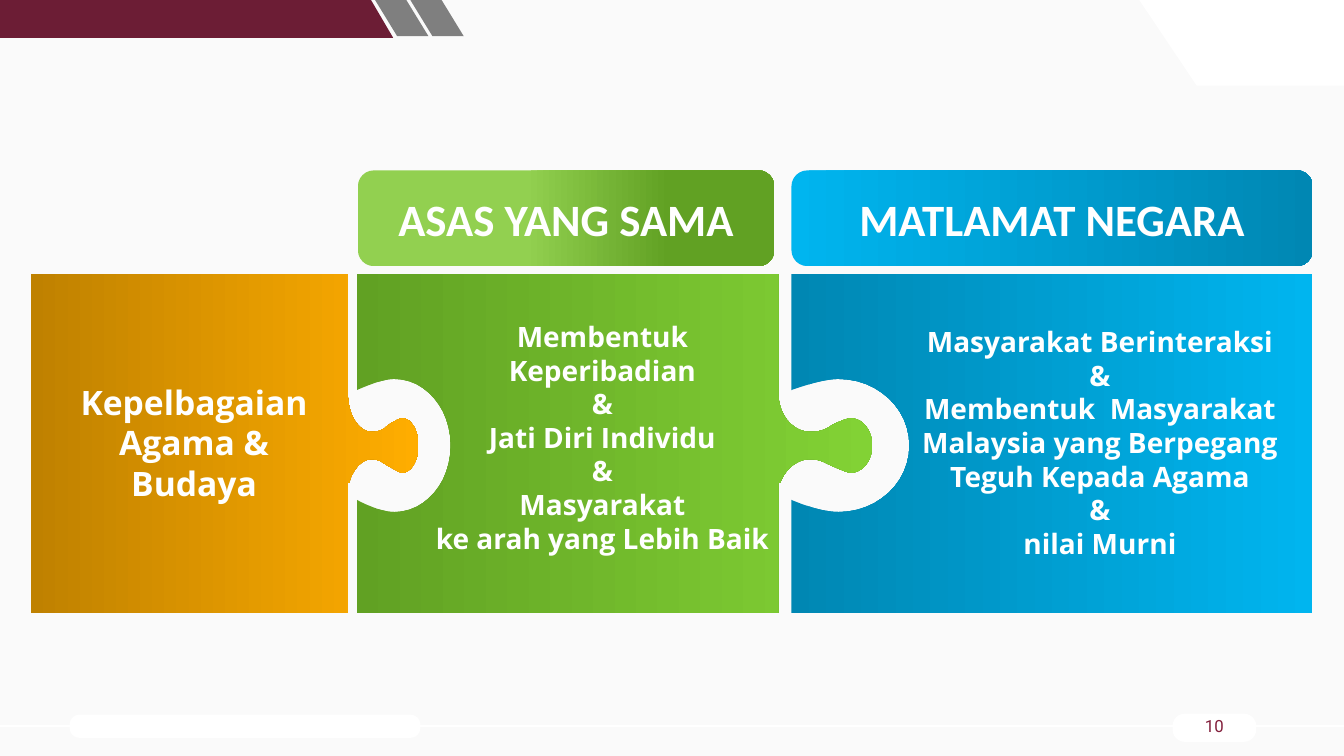
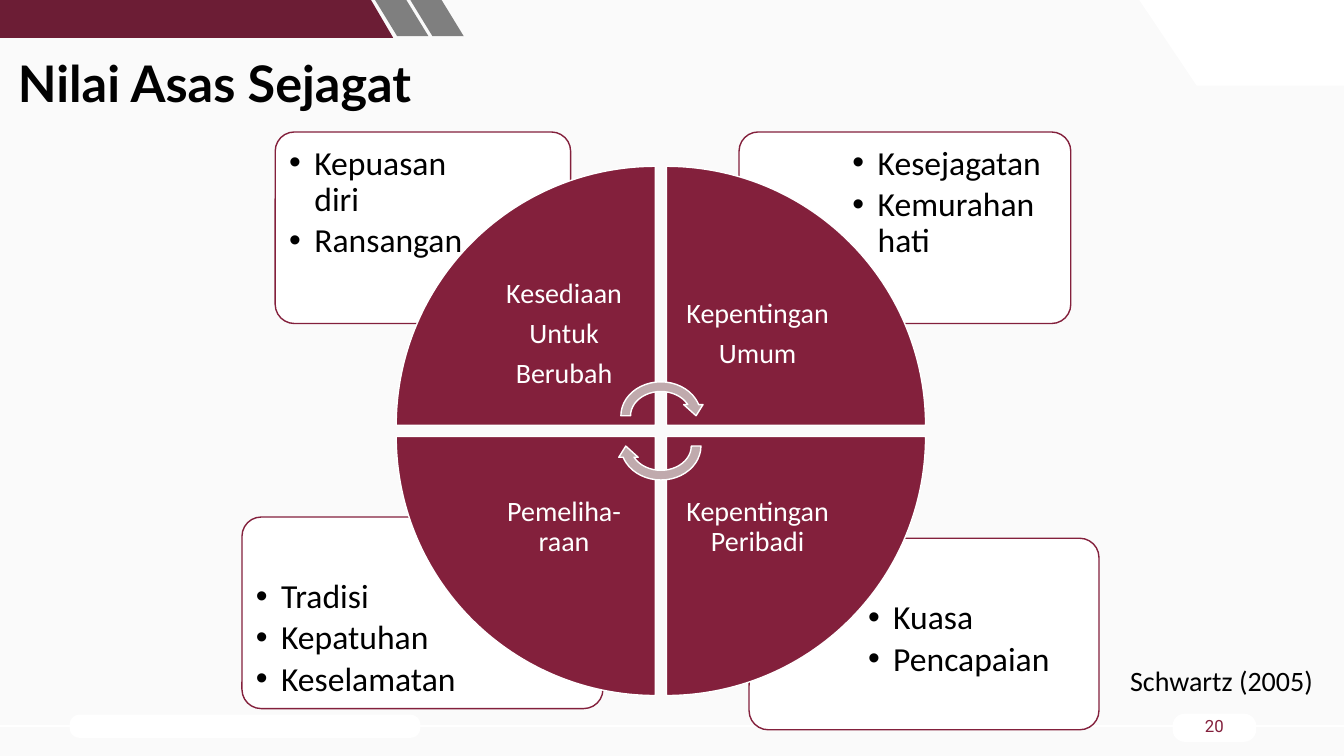
from lxml.etree import SubElement
from pptx import Presentation
from pptx.dml.color import RGBColor
from pptx.enum.shapes import MSO_CONNECTOR, MSO_SHAPE
from pptx.enum.text import MSO_ANCHOR, PP_ALIGN
from pptx.oxml.ns import qn
from pptx.util import Inches, Pt

WINE, DEEP_WINE, ROSE = "83203C", "6C1D35", "C0AAAD"
WHITE, BLACK, GREY, PAPER = "FFFFFF", "000000", "7F7F7F", "FAFAFA"
ORANGE, DARK_ORANGE = "FFAD00", "BF8100"
GREEN, LIGHT_GREEN, DARK_GREEN = "82D235", "92D050", "61A123"
BLUE, DARK_BLUE = "00B5EF", "0087B3"

deck = Presentation()
deck.slide_width, deck.slide_height = Inches(13.33), Inches(7.5)
CELL = deck.slide_height / 75  # square grid of 75 rows
COLUMNS = deck.slide_width / CELL


def draw(page, kind, cells, fill=None, line=None):
    """Add a preset shape, a text box (kind None) or an outline (kind "outline").

    Cells are left, top, width, height, or the points of an outline.
    Fill is one colour, or a pair of (position, colour) running left to right.
    """
    if kind == "outline":
        points = [(x * 100, y * 100) for x, y in cells]
        builder = page.shapes.build_freeform(*points[0], scale=CELL / 100)
        builder.add_line_segments(points[1:], close=True)
        shape = builder.convert_to_shape()
    else:
        frame = [round(count * CELL) for count in cells]
        if kind is None:
            return page.shapes.add_textbox(*frame)
        shape = page.shapes.add_shape(kind, *frame)
    shape.shadow.inherit = False
    if isinstance(fill, str):
        shape.fill.solid()
        shape.fill.fore_color.rgb = RGBColor.from_string(fill)
    else:
        shape.fill.gradient()
        shape.fill.gradient_angle = 0
        for stop, (position, colour) in zip(shape.fill.gradient_stops, fill):
            stop.position = position
            stop.color.rgb = RGBColor.from_string(colour)
    if line:
        shape.line.color.rgb = RGBColor.from_string(line)
        shape.line.width = Pt(1)
    else:
        shape.line.fill.background()
    return shape


def write(box, lines, size, colour, font="Calibri", bold=False, align=PP_ALIGN.CENTER,
          anchor=MSO_ANCHOR.TOP, inset=(0.1, 0.05), spacing=1, before=0, bullet=None):
    """Set the text of a box, one paragraph for each line."""
    frame = box.text_frame
    frame.word_wrap = True
    frame.vertical_anchor = anchor
    frame.margin_left = frame.margin_right = Inches(inset[0])
    frame.margin_top = frame.margin_bottom = Inches(inset[1])
    frame.text = "\n".join(lines)
    for number, paragraph in enumerate(frame.paragraphs):
        paragraph.alignment = align
        paragraph.line_spacing = spacing
        if number and before:
            paragraph.space_before = Pt(before)
        if bullet:
            properties = paragraph._p.get_or_add_pPr()
            properties.set("marL", str(Inches(0.25)))
            properties.set("indent", str(-Inches(0.25)))
            SubElement(properties, qn("a:buFont"), typeface="Arial")
            SubElement(properties, qn("a:buChar"), char=bullet)
        for span in paragraph.runs:
            span.font.name, span.font.size, span.font.bold = font, Pt(size), bold
            span.font.color.rgb = RGBColor.from_string(colour)


# Shared background, bands and footer
pages = []
for page_number in ("10", "20"):
    page = deck.slides.add_slide(deck.slide_layouts[6])
    pages.append(page)
    page.background.fill.solid()
    page.background.fill.fore_color.rgb = RGBColor.from_string(PAPER)

    rule = page.shapes.add_connector(MSO_CONNECTOR.STRAIGHT, 0, round(72 * CELL),
                                     deck.slide_width, round(72 * CELL))
    rule.line.color.rgb = RGBColor.from_string(WHITE)
    rule.line.width = Pt(1.5)
    SubElement(rule._element.spPr, qn("a:effectLst"))
    for cells in ((6.9, 70.9, 34.8, 2.3), (116.3, 70.8, 8.3, 2.8)):
        pill = draw(page, MSO_SHAPE.ROUNDED_RECTANGLE, cells, WHITE)
        pill.adjustments[0] = 0.44

    draw(page, "outline", [(113, 0), (COLUMNS, 0), (COLUMNS, 8.5), (118.7, 8.5)], WHITE)
    draw(page, "outline", [(0, 0), (36.8, 0), (39, 3.75), (0, 3.75)], DEEP_WINE)
    for left in (37.2, 40.7):
        draw(page, "outline",
             [(left, 0), (left + 3.1, 0), (left + 5.3, 3.6), (left + 2.2, 3.6)], GREY)
    write(draw(page, None, (116.3, 70.3, 8.3, 3.5)), [page_number], 12, WINE,
          font="Roboto", anchor=MSO_ANCHOR.MIDDLE)

puzzle_page, cycle_page = pages

# Puzzle edges as Bézier curves: x is a share of the depth, y a grid row
TAB = [(0, 39.2), (0.01, 40.7), (0.08, 41.8), (0.18, 42.4),
       (0.28, 43), (0.4, 43), (0.52, 42.5),
       (0.61, 41.9), (0.74, 41.5), (0.77, 41.5),
       (0.9, 41.5), (1, 42.7), (1, 44.2),
       (1, 45.7), (0.9, 46.9), (0.77, 46.9),
       (0.74, 46.9), (0.61, 46.4), (0.52, 46),
       (0.4, 45.4), (0.28, 45.4), (0.18, 46),
       (0.11, 46.4), (0.05, 47.1), (0.02, 47.9)]
SOCKET = [(0, 49.6), (0.1, 50.1), (0.27, 50.8), (0.4, 50.8),
          (0.73, 50.8), (1, 47.9), (1, 44.2),
          (1, 40.5), (0.73, 37.6), (0.4, 37.6),
          (0.27, 37.6), (0.1, 38.3), (0, 38.7)]
STEPS = 12
edges = []
for controls in (TAB, SOCKET):
    edge = [controls[0]]
    for first in range(0, len(controls) - 1, 3):
        curve = controls[first:first + 4]
        for step in range(1, STEPS + 1):
            t = step / STEPS
            weights = ((1 - t) ** 3, 3 * t * (1 - t) ** 2, 3 * t * t * (1 - t), t ** 3)
            edge.append(tuple(sum(w * point[axis] for w, point in zip(weights, curve))
                              for axis in (0, 1)))
    edges.append(edge)
tab_edge, socket_edge = edges
tab_edge.append((0, 47.9))

# Left, right, socket depth, tab depth, colours, text cells, text size, text
PIECES = [
    (35.4, 77.2, 9.3, 9.3, (DARK_GREEN, GREEN), (42.3, 31.7, 34.9, 23.6), 20,
     ["Membentuk", "Keperibadian", " &", "Jati Diri Individu", "&", "Masyarakat",
      "ke arah yang Lebih Baik"]),
    (3.1, 34.5, 0, 7, (DARK_ORANGE, ORANGE), (5.6, 37.9, 27.3, 12.1), 24,
     ["Kepelbagaian Agama & Budaya"]),
    (78.5, 130.2, 11.7, 0, (DARK_BLUE, BLUE), (90.1, 32.2, 38, 23.6), 20,
     ["Masyarakat Berinteraksi", "&",
      "Membentuk  Masyarakat Malaysia yang Berpegang Teguh Kepada Agama",
      "&", "nilai Murni"]),
]
TOP, BOTTOM = 27.15, 60.85
for left, right, socket, tab, (dark, light), text_cells, size, lines in PIECES:
    outline = [(left, TOP), (right, TOP)]
    if tab:
        outline += [(right + x * tab, y) for x, y in tab_edge]
    outline += [(right, BOTTOM), (left, BOTTOM)]
    if socket:
        outline += [(left + x * socket, y) for x, y in socket_edge]
    draw(puzzle_page, "outline", outline, ((0, dark), (1, light)))
    write(draw(puzzle_page, None, text_cells), [line.strip() for line in lines], size, WHITE,
          font="Open Sans", bold=True, inset=(0, 0))

for heading, left, width, fill in (
        ("ASAS YANG SAMA", 35.5, 41.3, ((0.4, LIGHT_GREEN), (0.75, DARK_GREEN))),
        ("MATLAMAT NEGARA", 78.5, 51.7, ((0, BLUE), (1, DARK_BLUE)))):
    header = draw(puzzle_page, MSO_SHAPE.ROUNDED_RECTANGLE, (left, 16.9, width, 9.5), fill)
    write(header, [heading], 32, WHITE, bold=True, anchor=MSO_ANCHOR.MIDDLE)

# Value cards behind the circle: left, top, width, lines
CARDS = [
    (74.3, 53.4, 34.7, ["Kuasa", "Pencapaian"]),
    (24, 51.3, 35.8, ["Tradisi", "Kepatuhan", "Keselamatan"]),
    (73.3, 13.1, 32.9, ["Kesejagatan", "Kemurahan hati"]),
    (27.3, 13.1, 29.3, ["Kepuasan diri", "Ransangan"]),
]
CARD_HEIGHT, TEXT_HEIGHT, EDGE = 19, 13.4, 0.4
for left, top, width, lines in CARDS:
    card = draw(cycle_page, MSO_SHAPE.ROUNDED_RECTANGLE, (left, top, width, CARD_HEIGHT),
                WHITE, WINE)
    card.adjustments[0] = 0.1
    text_width = 0.7 * width - 2 * EDGE
    on_right, on_bottom = left > COLUMNS / 2, top > 37.5
    text_left = left + width - EDGE - text_width if on_right else left + EDGE
    text_top = top + CARD_HEIGHT - EDGE - TEXT_HEIGHT if on_bottom else top + EDGE
    write(draw(cycle_page, None, (text_left, text_top, text_width, TEXT_HEIGHT)), lines, 24,
          BLACK, align=PP_ALIGN.LEFT, inset=(0.1, 0.1), spacing=0.9, before=3.6, bullet="•")

# Four wedges, clockwise from the top left: column, row, lines
WEDGE, LABEL = 25.7, 18.1
WEDGES = [
    (0, 0, ["Kesediaan", "Untuk", "Berubah"]),
    (1, 0, ["Kepentingan", "Umum"]),
    (1, 1, ["Kepentingan Peribadi"]),
    (0, 1, ["Pemeliha-raan"]),
]
for turn, (column, row, lines) in enumerate(WEDGES):
    left, top = 39.3 + column * 26.8, 16.5 + row * 26.8
    wedge = draw(cycle_page, MSO_SHAPE.PIE_WEDGE, (left, top, WEDGE, WEDGE), WINE, WHITE)
    wedge.rotation = 90 * turn
    label_left = left + (1 - column) * (WEDGE - LABEL)
    label_top = top + (1 - row) * (WEDGE - LABEL)
    write(draw(cycle_page, None, (label_left, label_top, LABEL, LABEL)), lines, 20, WHITE,
          anchor=MSO_ANCHOR.MIDDLE, inset=(0.16, 0.16), spacing=0.9, before=7)

for top, angle in ((37.4, 0), (40.4, 180)):
    arrow = draw(cycle_page, MSO_SHAPE.CIRCULAR_ARROW, (61.1, top, 8.9, 7.7), ROSE, WHITE)
    arrow.rotation = angle

write(draw(cycle_page, None, (111.1, 65.3, 21, 4.4)), ["Schwartz (2005)"], 20, BLACK,
      align=PP_ALIGN.LEFT)
write(draw(cycle_page, None, (0.8, 4.2, 104.7, 7.4)), ["Nilai Asas Sejagat"], 36, "010101",
      font="Lato", bold=True, align=PP_ALIGN.LEFT, inset=(0.1, 0.1))

deck.save("out.pptx")
